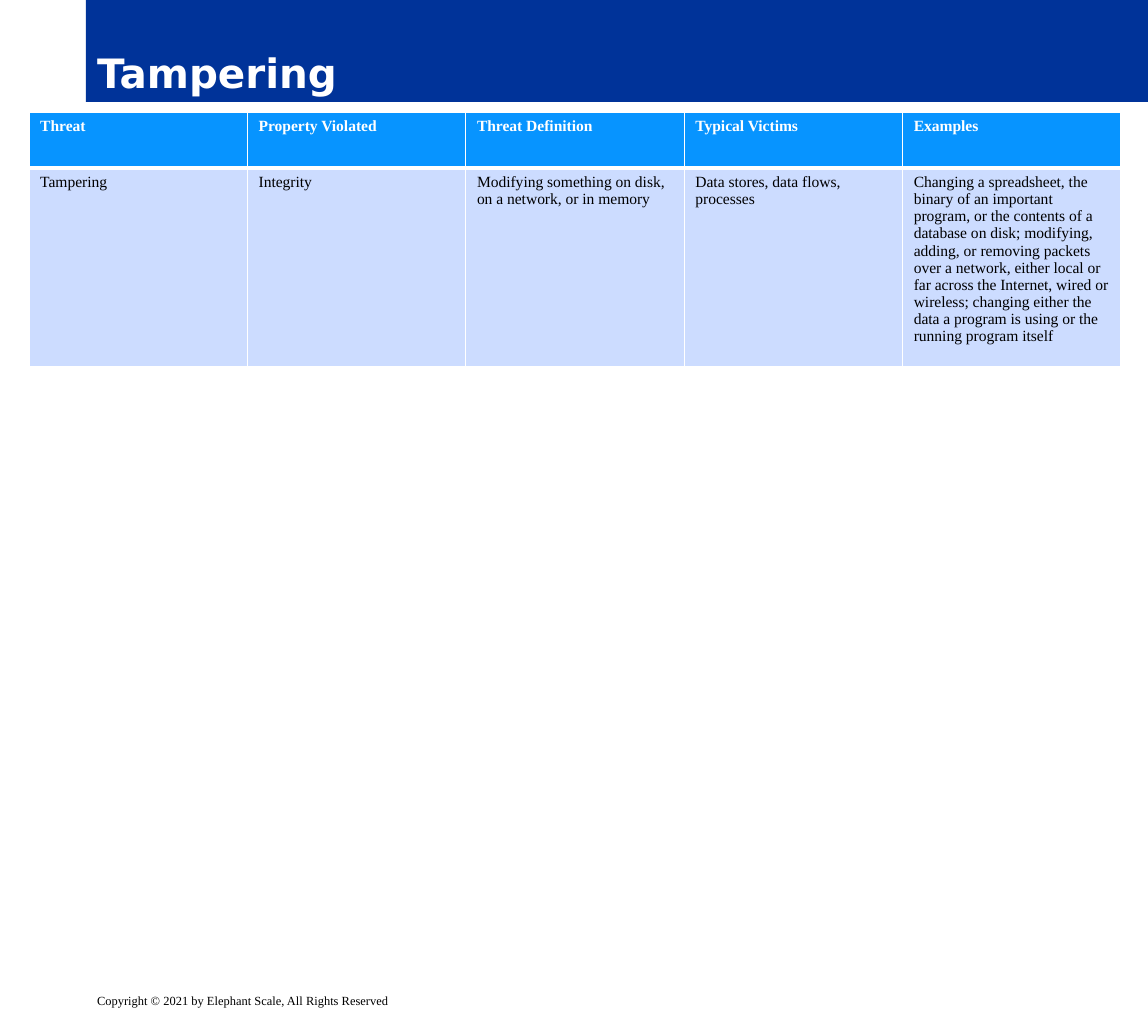
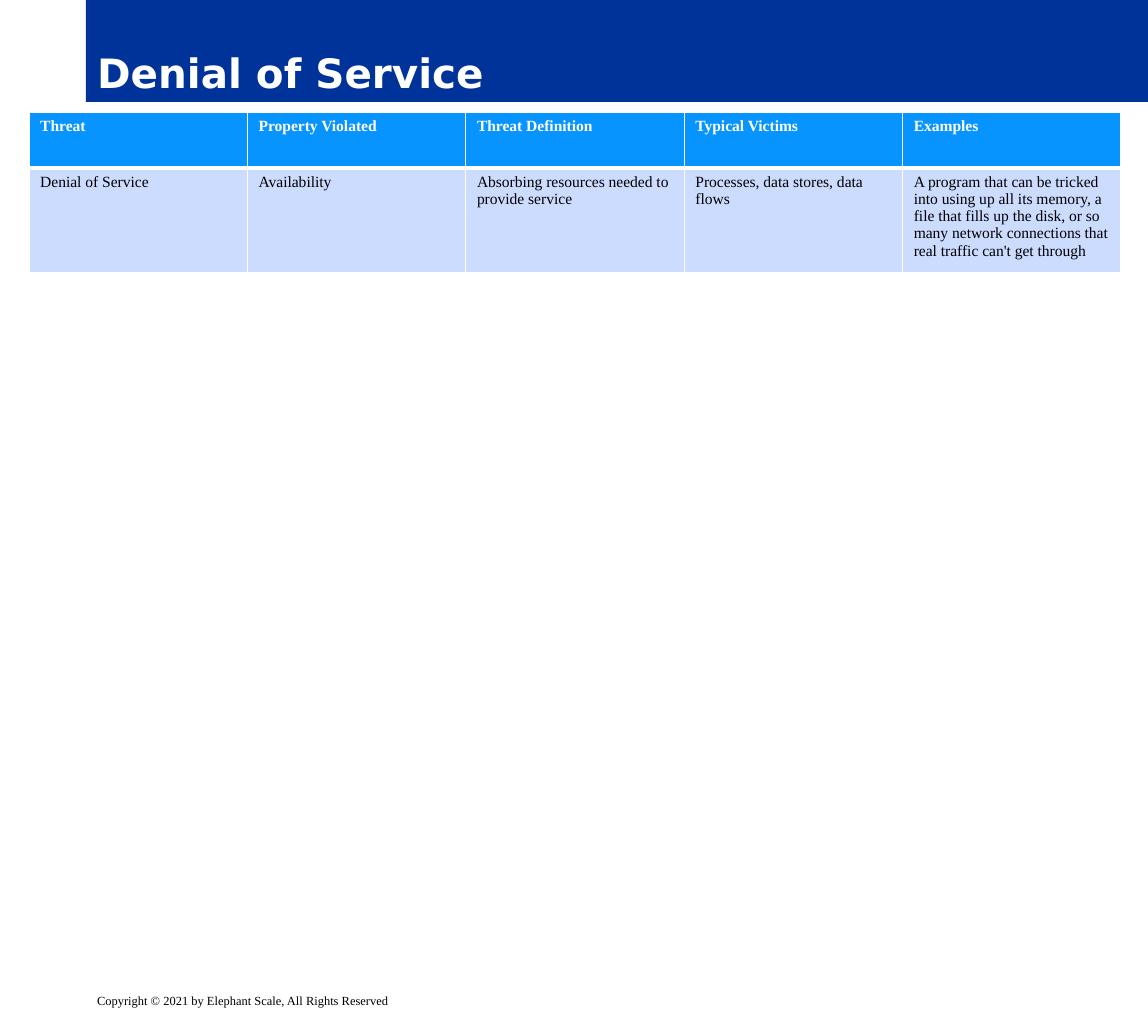
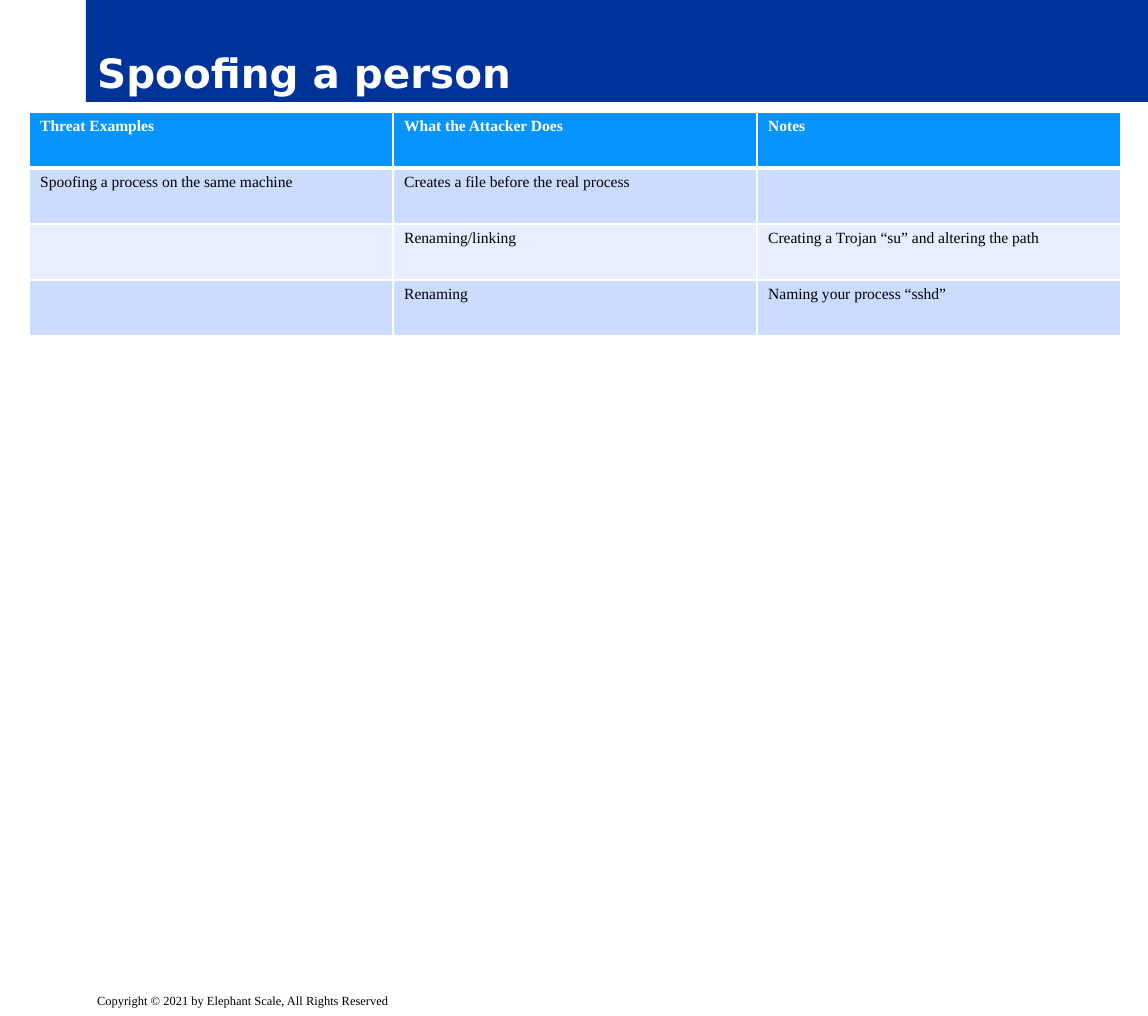
from lxml import etree
from pptx import Presentation
from pptx import util as u
from pptx.dml.color import RGBColor
from pptx.enum import text
from pptx.oxml import ns

COLORS = {
    "band": "003399",
    "header": "0794FF",
    "odd_row": "CCDCFF",
    "even_row": "E7EEFF",
    "white": "FFFFFF",
    "black": "000000",
}
TITLE_FONT = "DejaVu Sans"
BODY_FONT = "Times New Roman"
FOOTER = "Copyright © 2021 by Elephant Scale, All Rights Reserved"

SLIDE_WIDTH, SLIDE_HEIGHT = 1148, 1016
BAND_LEFT, BAND_HEIGHT = 86, 102
FOOTER_TOP, FOOTER_HEIGHT = 988, 28
TABLE_LEFT, TABLE_TOP, TABLE_WIDTH = 29, 112, 1092
ROW_HEIGHT = 56

THREAT_HEADER = ["Threat", "Property Violated", "Threat Definition",
                 "Typical Victims", "Examples"]
SLIDES = [
    ("Tampering", [
        THREAT_HEADER,
        ["Tampering", "Integrity",
         "Modifying something on disk, on a network, or in memory",
         "Data stores, data flows, processes",
         "Changing a spreadsheet, the binary of an important program, or the "
         "contents of a database on disk; modifying, adding, or removing "
         "packets over a network, either local or far across the Internet, "
         "wired or wireless; changing either the data a program is using or "
         "the running program itself"],
    ]),
    ("Denial of Service", [
        THREAT_HEADER,
        ["Denial of Service", "Availability",
         "Absorbing resources needed to provide service",
         "Processes, data stores, data flows",
         "A program that can be tricked into using up all its memory, a file "
         "that fills up the disk, or so many network connections that real "
         "traffic can't get through"],
    ]),
    ("Spoofing a person", [
        ["Threat Examples", "What the Attacker Does", "Notes"],
        ["Spoofing a process on the same machine",
         "Creates a file before the real process", ""],
        ["", "Renaming/linking", "Creating a Trojan “su” and altering the path"],
        ["", "Renaming", "Naming your process “sshd”"],
    ]),
]


def px(length):
    return u.Emu(round(length * 914400 / 112))


def rgb(name):
    return RGBColor.from_string(COLORS[name])


def write(frame, content, size, font=BODY_FONT, color="black", bold=False):
    para = frame.paragraphs[0]
    para.alignment = text.PP_ALIGN.LEFT
    span = para.add_run()
    span.text = content
    span.font.size = u.Pt(size)
    span.font.name = font
    span.font.bold = bold
    span.font.color.rgb = rgb(color)


def add_title(page, content):
    title = page.shapes.title
    title.left, title.top = px(BAND_LEFT), px(0)
    title.width, title.height = px(SLIDE_WIDTH - BAND_LEFT), px(BAND_HEIGHT)
    title.fill.solid()
    title.fill.fore_color.rgb = rgb("band")
    frame = title.text_frame
    frame.vertical_anchor = text.MSO_ANCHOR.BOTTOM
    frame.auto_size = text.MSO_AUTO_SIZE.NONE
    write(frame, content, 26, font=TITLE_FONT, color="white", bold=True)


def add_footer(page):
    box = page.shapes.add_textbox(px(BAND_LEFT), px(FOOTER_TOP),
                                  px(TABLE_WIDTH), px(FOOTER_HEIGHT))
    box.text_frame.word_wrap = True
    write(box.text_frame, FOOTER, 8)


def set_borders(cell, top, bottom):
    """Draw white cell borders; top and bottom are widths in points."""
    properties = cell._tc.get_or_add_tcPr()
    for side, width in (("L", 1), ("R", 1), ("T", top), ("B", bottom)):
        line = etree.SubElement(properties, ns.qn(f"a:ln{side}"), w=str(u.Pt(width)))
        fill = etree.SubElement(line, ns.qn("a:solidFill"))
        etree.SubElement(fill, ns.qn("a:srgbClr"), val=COLORS["white"])


def fill_cell(cell, content, row):
    header = row == 0
    set_borders(cell, top=3 if row == 1 else 1, bottom=3 if header else 1)
    cell.fill.solid()
    band = "header" if header else "odd_row" if row % 2 else "even_row"
    cell.fill.fore_color.rgb = rgb(band)
    if content:
        write(cell.text_frame, content, 10,
              color="white" if header else "black", bold=header)


def add_grid(page, rows):
    columns = len(rows[0])
    table = page.shapes.add_table(
        len(rows), columns, px(TABLE_LEFT), px(TABLE_TOP),
        px(TABLE_WIDTH), px(ROW_HEIGHT * len(rows))).table
    for column in table.columns:
        column.width = px(TABLE_WIDTH / columns)
    for row, contents in enumerate(rows):
        table.rows[row].height = px(ROW_HEIGHT)
        for column, content in enumerate(contents):
            fill_cell(table.cell(row, column), content, row)


def main():
    deck = Presentation()
    deck.slide_width, deck.slide_height = px(SLIDE_WIDTH), px(SLIDE_HEIGHT)
    title_only = deck.slide_layouts[5]
    for title, rows in SLIDES:
        page = deck.slides.add_slide(title_only)
        add_title(page, title)
        add_footer(page)
        add_grid(page, rows)
    deck.save("out.pptx")


if __name__ == "__main__":
    main()
